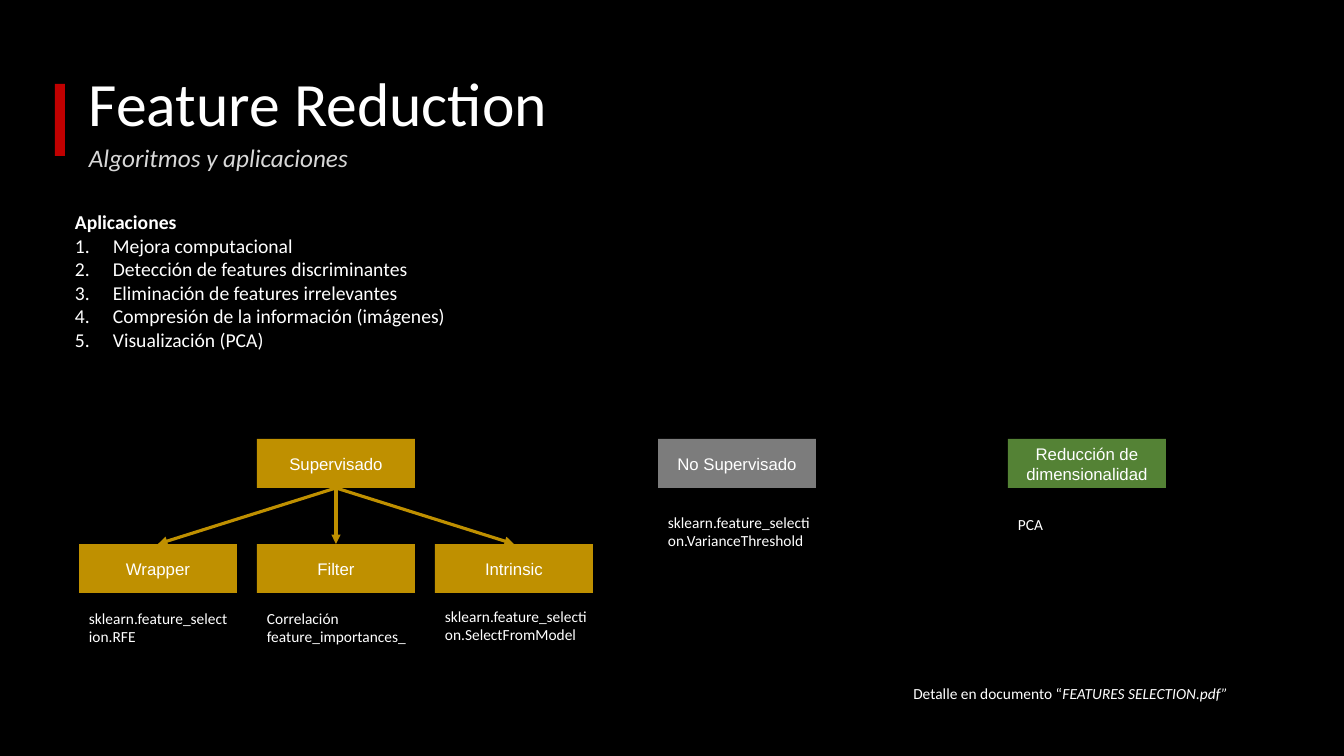
from lxml import etree
from pptx import Presentation
from pptx.dml.color import RGBColor
from pptx.enum.shapes import MSO_CONNECTOR, MSO_SHAPE
from pptx.enum.text import MSO_ANCHOR, PP_ALIGN
from pptx.oxml.ns import qn
from pptx.util import Pt

EMU_PER_PX = 914400 / 100.8

BLACK = RGBColor(0x00, 0x00, 0x00)
WHITE = RGBColor(0xFF, 0xFF, 0xFF)
LIGHT_GREY = RGBColor(0xD8, 0xD8, 0xD8)
RED = RGBColor(0xC0, 0x00, 0x00)
GOLD = RGBColor(0xBF, 0x90, 0x00)
GREY = RGBColor(0x7C, 0x7C, 0x7C)
GREEN = RGBColor(0x54, 0x82, 0x35)

RECTANGLE = MSO_SHAPE.RECTANGLE
STRAIGHT = MSO_CONNECTOR.STRAIGHT
TOP, MIDDLE = MSO_ANCHOR.TOP, MSO_ANCHOR.MIDDLE
LEFT, CENTER, RIGHT = PP_ALIGN.LEFT, PP_ALIGN.CENTER, PP_ALIGN.RIGHT
TOP_SIDE, BOTTOM_SIDE = 0, 2

BOX_WIDTH, BOX_HEIGHT = 158, 49
NOTE_WIDTH = 169
FAMILY_TOP, METHOD_TOP = 439, 544
METHOD_LEFT, METHOD_STEP = 79, 178
UNSUPERVISED_LEFT, REDUCTION_LEFT = 658, 1008
LIST_INDENT = 38

APPLICATIONS = [
    "Mejora computacional",
    "Detección de features discriminantes",
    "Eliminación de features irrelevantes",
    "Compresión de la información (imágenes)",
    "Visualización (PCA)",
]
# Method name, its note, note top and note width
METHODS = [
    ("Wrapper", "sklearn.feature_selection.RFE", 604, BOX_WIDTH),
    ("Filter", "Correlación\nfeature_importances_", 604, NOTE_WIDTH),
    ("Intrinsic", "sklearn.feature_selection.SelectFromModel", 602, NOTE_WIDTH),
]


def px(length):
    return round(length * EMU_PER_PX)


def add_span(para, text, size=11, font="Calibri", color=WHITE, bold=False, italic=False):
    span = para.add_run()
    span.text = text
    span.font.size = Pt(size)
    span.font.name = font
    span.font.color.rgb = color
    span.font.bold = bold
    span.font.italic = italic


def write_text(frame, text, align=LEFT, anchor=TOP, spacing=1.0, **span_format):
    """Fill a text frame, one paragraph for each line of text."""
    frame.word_wrap = True
    frame.vertical_anchor = anchor
    for index, line in enumerate(text.split("\n")):
        para = frame.add_paragraph() if index else frame.paragraphs[0]
        para.alignment = align
        para.line_spacing = spacing
        add_span(para, line, **span_format)


def add_text(page, left, top, width, height, text, **text_format):
    box = page.shapes.add_textbox(px(left), px(top), px(width), px(height))
    write_text(box.text_frame, text, **text_format)
    return box


def add_rectangle(page, left, top, width, height, color):
    box = page.shapes.add_shape(RECTANGLE, px(left), px(top), px(width), px(height))
    box.shadow.inherit = False
    box.fill.solid()
    box.fill.fore_color.rgb = color
    box.line.fill.background()
    return box


def add_label_box(page, left, top, text, color):
    box = add_rectangle(page, left, top, BOX_WIDTH, BOX_HEIGHT, color)
    write_text(box.text_frame, text, align=CENTER, anchor=MIDDLE, size=12, font="Arial")
    return box


def add_arrow(page, parent, child, color):
    arrow = page.shapes.add_connector(STRAIGHT, 0, 0, 0, 0)
    arrow.begin_connect(parent, BOTTOM_SIDE)
    arrow.end_connect(child, TOP_SIDE)
    arrow.line.color.rgb = color
    arrow.line.width = Pt(2.25)
    etree.SubElement(arrow.line._get_or_add_ln(), qn("a:tailEnd"), type="triangle")
    etree.SubElement(arrow._element.spPr, qn("a:effectLst"))


def number_paragraph(para):
    properties = para._p.get_or_add_pPr()
    properties.set("marL", str(px(LIST_INDENT)))
    properties.set("indent", str(-px(LIST_INDENT)))
    etree.SubElement(properties, qn("a:buFont"), typeface="+mj-lt")
    etree.SubElement(properties, qn("a:buAutoNum"), type="arabicPeriod")


def add_applications(page):
    box = add_text(page, 65, 205, 1173, 224, "Aplicaciones", size=14, bold=True)
    for application in APPLICATIONS:
        para = box.text_frame.add_paragraph()
        number_paragraph(para)
        add_span(para, application, size=14)


def add_supervised_tree(page):
    parent = add_label_box(page, METHOD_LEFT + METHOD_STEP, FAMILY_TOP, "Supervisado", GOLD)
    for index, (name, note, note_top, note_width) in enumerate(METHODS):
        left = METHOD_LEFT + index * METHOD_STEP
        child = add_label_box(page, left, METHOD_TOP, name, GOLD)
        add_arrow(page, parent, child, GOLD)
        add_text(page, left, note_top, note_width, 47, note)


def main():
    deck = Presentation()
    deck.slide_width, deck.slide_height = px(1344), px(756)
    page = deck.slides.add_slide(deck.slide_layouts[6])
    page.background.fill.solid()
    page.background.fill.fore_color.rgb = BLACK

    # Heading
    add_text(page, 79, 34, 1159, 146, "Feature Reduction", size=44, anchor=MIDDLE, spacing=0.9)
    add_text(page, 79, 141, 605, 52, "Algoritmos y aplicaciones",
             size=18, color=LIGHT_GREY, italic=True, spacing=0.9)
    add_rectangle(page, 55, 84, 10, 72, RED)

    # Numbered list
    add_applications(page)

    # Families of algorithms
    add_supervised_tree(page)
    add_label_box(page, UNSUPERVISED_LEFT, FAMILY_TOP, "No Supervisado", GREY)
    add_text(page, UNSUPERVISED_LEFT, 508, NOTE_WIDTH, 47,
             "sklearn.feature_selection.VarianceThreshold")
    add_label_box(page, REDUCTION_LEFT, FAMILY_TOP, "Reducción de dimensionalidad", GREEN)
    add_text(page, REDUCTION_LEFT, 510, NOTE_WIDTH, 29, "PCA")

    # Reference
    reference = add_text(page, 800, 679, 438, 29, "Detalle en documento “", align=RIGHT)
    add_span(reference.text_frame.paragraphs[0], "FEATURES SELECTION.pdf”", italic=True)

    deck.save("out.pptx")


if __name__ == "__main__":
    main()
